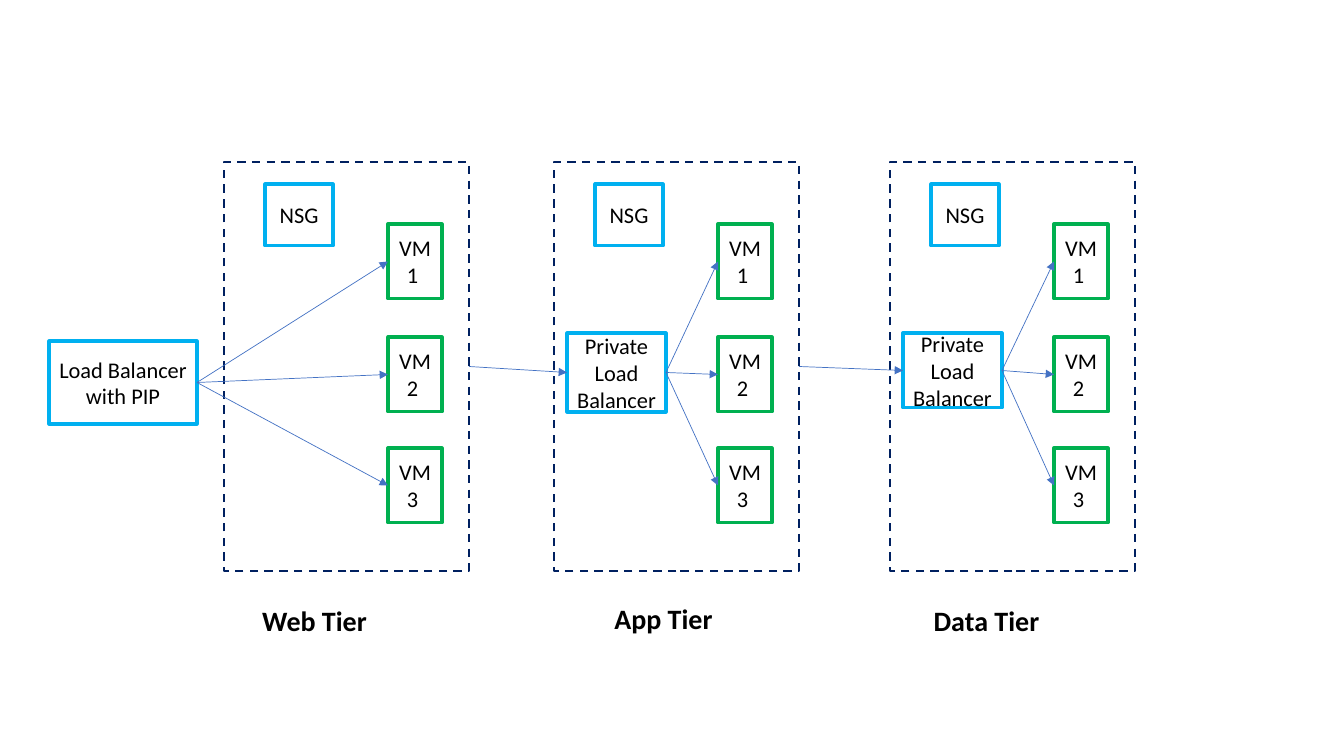
from lxml import etree
from pptx import Presentation
from pptx import util as u
from pptx.dml.color import RGBColor
from pptx.enum import dml, shapes, text
from pptx.oxml.ns import qn

PX = 914400 / 100.8  # EMU per pixel
FONT = "Calibri"
COLORS = {"tier": "002060", "balancer": "00B0F0", "vm": "00B050",
          "arrow": "4472C4", "text": "000000"}
LEFT_SIDE, RIGHT_SIDE = 1, 3  # connection sites of a rectangle


def emu(*pixels):
    return [u.Emu(round(p * PX)) for p in pixels]


def color(name):
    return RGBColor.from_string(COLORS[name])


def write(frame, words, size, bold=False):
    frame.word_wrap = True
    line = frame.paragraphs[0]
    line.alignment = text.PP_ALIGN.CENTER
    run = line.add_run()
    run.text = words
    run.font.name, run.font.size, run.font.bold = FONT, u.Pt(size), bold
    run.font.color.rgb = color("text")


def add_box(slide, box, outline, words=None, width=2.25):
    node = slide.shapes.add_shape(shapes.MSO_SHAPE.RECTANGLE, *emu(*box))
    node.shadow.inherit = False
    node.fill.background()
    node.line.color.rgb = color(outline)
    node.line.width = u.Pt(width)
    if words:
        node.text_frame.vertical_anchor = text.MSO_ANCHOR.MIDDLE
        write(node.text_frame, words, 16)
    return node


def add_arrow(slide, source, target):
    arrow = slide.shapes.add_connector(shapes.MSO_CONNECTOR.STRAIGHT, 0, 0, 0, 0)
    arrow.begin_connect(source, RIGHT_SIDE)
    arrow.end_connect(target, LEFT_SIDE)
    arrow.line.color.rgb = color("arrow")
    arrow.line.width = u.Pt(0.5)
    etree.SubElement(arrow.line._get_or_add_ln(), qn("a:tailEnd"), type="triangle")
    etree.SubElement(arrow._element.spPr, qn("a:effectLst"))


def add_tier(slide, box, name, label_at, source, balancer_height=None):
    """Draw one tier, fed by source, and return its frame."""
    left, top, _, _ = box
    frame = add_box(slide, box, "tier", width=1.5)
    frame.line.dash_style = dml.MSO_LINE.DASH

    # Security group and virtual machines
    add_box(slide, (left + 41, top + 22, 68, 62), "balancer", "NSG")
    vms = [add_box(slide, (left + 164, top + dy, 54, 75), "vm", f"VM {number} ")
           for number, dy in enumerate((62, 175, 286), 1)]

    # Private load balancer, where the tier has one
    if balancer_height:
        balancer = add_box(slide, (left + 13, top + 171, 99, balancer_height),
                           "balancer", "Private Load Balancer")
        add_arrow(slide, source, balancer)
        source = balancer
    for vm in vms:
        add_arrow(slide, source, vm)

    # Tier name
    dx, dy = label_at
    label = slide.shapes.add_textbox(*emu(left + dx, top + dy, 135, 44))
    write(label.text_frame, name, 20, bold=True)
    return frame


def add_architecture(slide, box):
    left, top, width, height = box
    source = add_box(slide, (left, top + 179, 148, 83), "balancer",
                     "Load Balancer with PIP")
    tiers = [("Web Tier", 175, (23, 437), None),
             ("App Tier", 505, (42, 435), 79),
             ("Data Tier", 841, (29, 437), 75)]
    for name, dx, label_at, balancer_height in tiers:
        source = add_tier(slide, (left + dx, top, 245, height), name,
                          label_at, source, balancer_height)


deck = Presentation()
deck.slide_width, deck.slide_height = emu(1344, 756)
page = deck.slides.add_slide(deck.slide_layouts[6])
add_architecture(page, (49, 162, 1086, 409))
deck.save("out.pptx")
